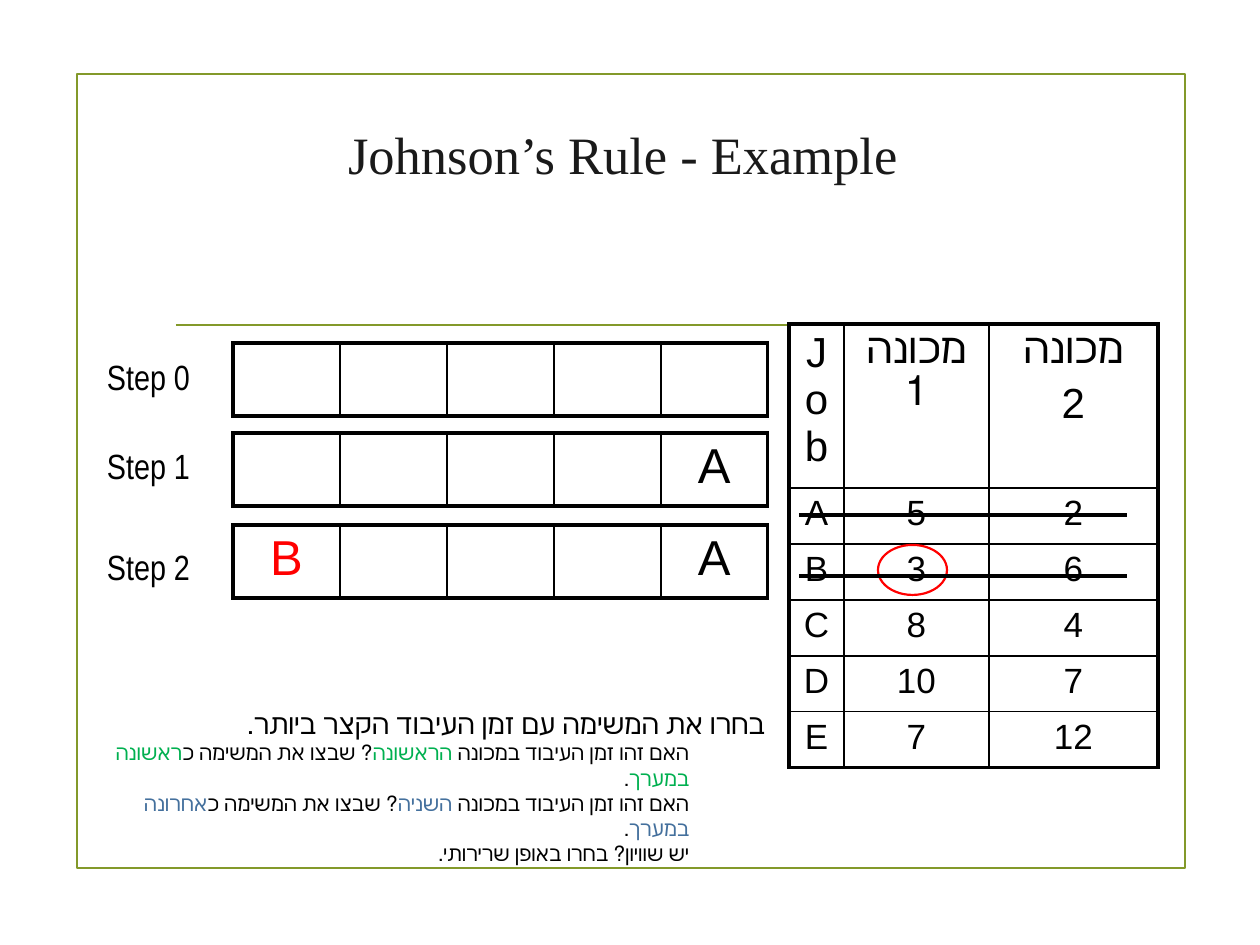
from dataclasses import dataclass

from lxml.etree import SubElement
from pptx import Presentation
from pptx.dml.color import RGBColor
from pptx.enum.shapes import MSO_CONNECTOR, MSO_SHAPE
from pptx.enum.text import MSO_ANCHOR, MSO_AUTO_SIZE, PP_ALIGN
from pptx.oxml.ns import qn
from pptx.util import Emu, Pt

PX = 914400 // 126
COLORS = {"black": "000000", "white": "FFFFFF", "title": "1A1A1A", "olive": "83992A",
          "red": "FF0000", "green": "00B050", "blue": "44709D"}
THICK, THIN = 2.25, 1


@dataclass(frozen=True)
class Step:
    label: str
    label_top: int
    table_top: int
    jobs: tuple[str, ...]


@dataclass(frozen=True)
class Rule:
    """A right-to-left paragraph made of (text, colour) runs."""
    runs: tuple[tuple[str, str], ...]
    size: int = 12
    level: int = 1
    margin: int = 82


STEPS = (
    Step("Step 0", 349, 343, ("", "", "", "", "")),
    Step("Step 1", 438, 433, ("", "", "", "", "A")),
    Step("Step 2", 539, 525, ("B", "", "", "", "A")),
)
JOB_TIMES = (
    ("Job", "מכונה 1", "מכונה\n2"),
    ("A", "5", "2"),
    ("B", "3", "6"),
    ("C", "8", "4"),
    ("D", "10", "7"),
    ("E", "7", "12"),
)
RULES = (
    Rule((("בחרו את המשימה עם זמן העיבוד הקצר ביותר.", "black"),), 16, 0, 6),
    Rule((("האם זהו זמן העיבוד במכונה ", "black"), ("הראשונה", "green"),
          ("? שבצו את המשימה כ", "black"), ("ראשונה במערך", "green"), (".", "black"))),
    Rule((("האם זהו זמן העיבוד במכונה ", "black"), ("השניה", "blue"),
          ("? שבצו את המשימה כ", "black"), ("אחרונה במערך", "blue"), (".", "black"))),
    Rule((("יש שוויון? בחרו באופן שרירותי.", "black"),)),
)


def px(*lengths: int) -> list[Emu]:
    return [Emu(length * PX) for length in lengths]


def rgb(name: str) -> RGBColor:
    return RGBColor.from_string(COLORS[name])


def write(p, *runs: tuple[str, str], size: int, font: str = "Arial",
          align=PP_ALIGN.CENTER, before: int = 0, rtl: bool = False,
          level: int = 0, margin: int = 0) -> None:
    """Fill a paragraph with (text, colour) runs."""
    p.level, p.alignment = level, align
    p.space_before, p.space_after, p.line_spacing = Pt(before), Pt(0), 1.0
    pPr = p._p.get_or_add_pPr()
    pPr.set("marL", str(margin * PX))
    pPr.set("indent", "0")
    pPr.set("rtl", str(int(rtl)))
    SubElement(pPr, qn("a:buNone"))
    for text, color in runs:
        r = p.add_run()
        r.text = text
        r.font.size, r.font.name = Pt(size), font
        r.font.color.rgb = rgb(color)


def paragraph(tf, index: int):
    return tf.add_paragraph() if index else tf.paragraphs[0]


def place(sp, left: int, top: int, width: int, height: int) -> None:
    sp.left, sp.top, sp.width, sp.height = px(left, top, width, height)


def add_outline(slide, kind, box: tuple[int, ...], color: str) -> None:
    sp = slide.shapes.add_shape(kind, *px(*box))
    sp.shadow.inherit = False
    sp.fill.background()
    sp.line.color.rgb, sp.line.width = rgb(color), Pt(1.25)


def add_rule_line(slide, left: int, right: int, y: int, color: str, width: float) -> None:
    line = slide.shapes.add_connector(MSO_CONNECTOR.STRAIGHT, *px(left, y, right, y))
    line.line.color.rgb, line.line.width = rgb(color), Pt(width)
    SubElement(line._element.spPr, qn("a:effectLst"))


def set_borders(cell, widths: dict[str, float]) -> None:
    tcPr = cell._tc.get_or_add_tcPr()
    for side, width in widths.items():
        ln = SubElement(tcPr, qn(f"a:ln{side}"), w=str(Pt(width)))
        fill = SubElement(ln, qn("a:solidFill"))
        SubElement(fill, qn("a:srgbClr"), val=COLORS["black"])


def add_grid(slide, left: int, top: int, widths: list[int], heights: list[int]):
    """Add a white table with a thick frame and thin inner lines."""
    n_rows, n_cols = len(heights), len(widths)
    table = slide.shapes.add_table(
        n_rows, n_cols, *px(left, top, sum(widths), sum(heights))).table
    table.first_row = table.horz_banding = False
    for column, width in zip(table.columns, px(*widths)):
        column.width = width
    for row, height in zip(table.rows, px(*heights)):
        row.height = height
    for i in range(n_rows):
        for j in range(n_cols):
            cell = table.cell(i, j)
            outer = {"L": j == 0, "R": j == n_cols - 1, "T": i == 0, "B": i == n_rows - 1}
            set_borders(cell, {side: THICK if edge else THIN for side, edge in outer.items()})
            cell.fill.solid()
            cell.fill.fore_color.rgb = rgb("white")
            cell.margin_left, cell.margin_right = px(14, 14)
            cell.margin_top, cell.margin_bottom = px(6, 6)
    return table


def add_step(slide, step: Step) -> None:
    sp = slide.shapes.add_textbox(*px(83, step.label_top, 121, 57))
    tf = sp.text_frame
    tf.word_wrap = True
    tf.margin_left, tf.margin_right = px(14, 14)
    write(tf.paragraphs[0], (step.label, "black"), size=20, font="Arial Narrow",
          align=PP_ALIGN.RIGHT, rtl=True)
    table = add_grid(slide, 233, step.table_top, [107] * 5, [73])
    for j, job in enumerate(step.jobs):
        if job:
            color = "red" if job == "B" else "black"
            write(table.cell(0, j).text_frame.paragraphs[0], (job, color), size=28)


def add_job_times(slide) -> None:
    table = add_grid(slide, 789, 324, [55, 145, 169], [164] + [56] * 5)
    for i, row in enumerate(JOB_TIMES):
        for j, value in enumerate(row):
            tf = table.cell(i, j).text_frame
            for k, line in enumerate(value.split("\n")):
                write(paragraph(tf, k), (line, "black"),
                      size=20 if i else 24, before=5 if k else 0)


def main() -> None:
    prs = Presentation()
    prs.slide_width, prs.slide_height = px(1260, 945)
    slide = prs.slides.add_slide(prs.slide_layouts[1])
    title, body = slide.placeholders

    add_outline(slide, MSO_SHAPE.RECTANGLE, (77, 74, 1108, 794), "olive")
    add_rule_line(slide, 176, 1085, 325, "olive", 1.25)

    place(title, 203, 96, 840, 115)
    title.text_frame.vertical_anchor = MSO_ANCHOR.MIDDLE
    title.text_frame.auto_size = MSO_AUTO_SIZE.NONE
    write(title.text_frame.paragraphs[0], ("Johnson’s Rule - Example", "title"),
          size=30, font="Times New Roman")

    place(body, 86, 700, 698, 174)
    body.text_frame.auto_size = MSO_AUTO_SIZE.NONE
    for i, rule in enumerate(RULES):
        write(paragraph(body.text_frame, i), *rule.runs, size=rule.size,
              align=PP_ALIGN.RIGHT, rtl=True, level=rule.level, margin=rule.margin)

    for step in STEPS:
        add_step(slide, step)
    add_job_times(slide)
    add_outline(slide, MSO_SHAPE.OVAL, (878, 545, 69, 50), "red")
    for y in (515, 576):
        add_rule_line(slide, 799, 1127, y, "black", 2)

    prs.save("out.pptx")


if __name__ == "__main__":
    main()
